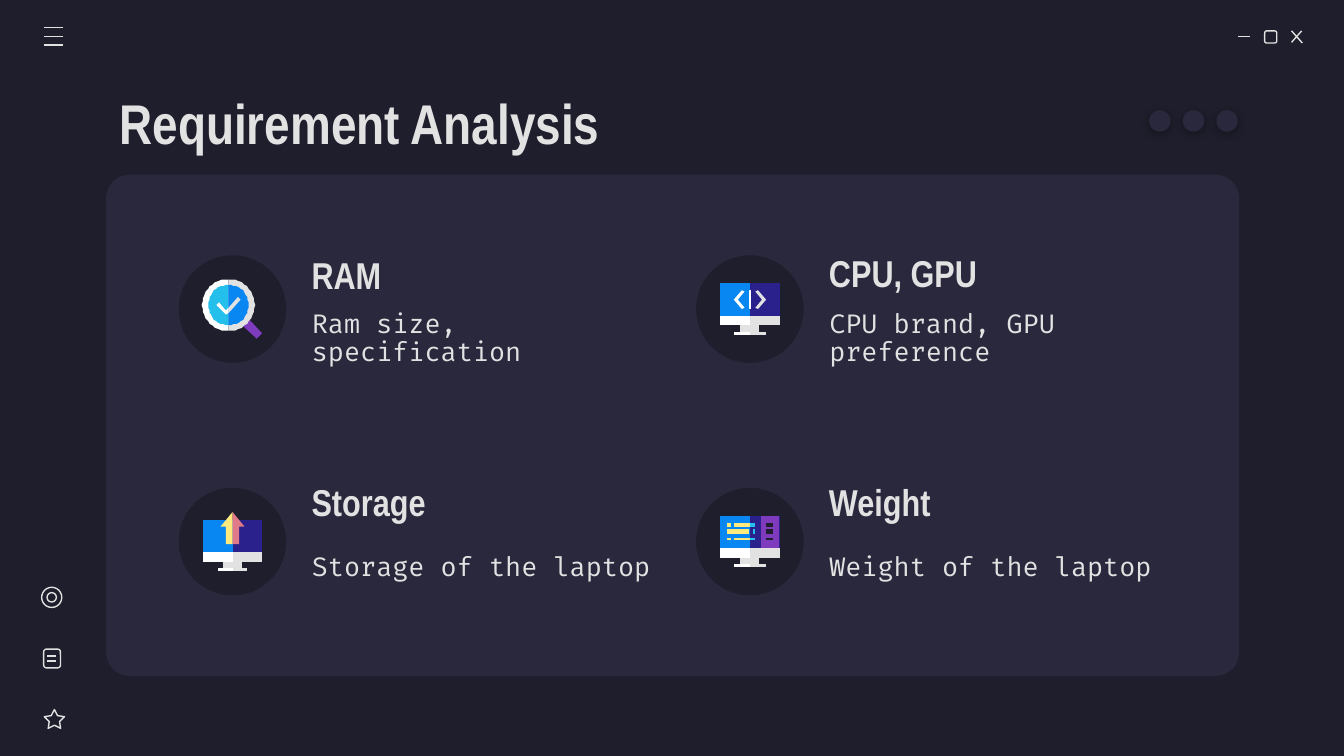
import math

import pptx
import pptx.dml.color
import pptx.enum.shapes
import pptx.enum.text
import pptx.oxml
import pptx.oxml.ns
import pptx.util

# Every length is a share of the slide's width, in thousandths.
UNIT = pptx.util.Inches(10) // 1000
WIDE, HIGH = 1000, 562.5
COLS, ROWS = (133, 518), (190, 363)
DISC = 80
COLOR = {
    "back": "1E1E2C", "panel": "29283D", "text": "E2E2E2", "white": "FFFFFF",
    "blue": "0887F2", "navy": "2B218D", "cyan": "24BFEB", "purple": "7E3BBE",
    "yellow": "FFEA7D", "pink": "E07A88",
}
HEAD, BODY = "Arial Narrow", "Fira Code"
FORM = pptx.enum.shapes.MSO_SHAPE
SHADOW = (
    '<a:effectLst xmlns:a="http://schemas.openxmlformats.org/drawingml/2006/main">'
    '<a:outerShdw blurRad="57150" dist="19050" dir="5400000" algn="bl" rotWithShape="0">'
    '<a:srgbClr val="000000"><a:alpha val="30000"/></a:srgbClr>'
    '</a:outerShdw></a:effectLst>'
)


def size(value):
    return round(value * UNIT)


def rgb(name):
    return pptx.dml.color.RGBColor.from_string(COLOR[name])


def paint(shape, fill):
    """Fill a shape, or leave it open with a thin outline if fill is None."""
    shape.shadow.inherit = False
    if fill:
        shape.fill.solid()
        shape.fill.fore_color.rgb = rgb(fill)
        shape.line.fill.background()
    else:
        shape.fill.background()
        shape.line.color.rgb = rgb("text")
        shape.line.width = pptx.util.Pt(0.75)


def add_form(slide, form, box, fill=None, bend=None):
    shape = slide.shapes.add_shape(form, *map(size, box))
    paint(shape, fill)
    if bend is not None:
        shape.adjustments[0] = bend
    return shape


def add_line(slide, *ends):
    line = slide.shapes.add_connector(
        pptx.enum.shapes.MSO_CONNECTOR.STRAIGHT, *map(size, ends))
    line.line.color.rgb = rgb("text")
    line.line.width = pptx.util.Pt(0.75)
    pptx.oxml.ns  # namespace helpers
    line._element.spPr.append(pptx.oxml.parse_xml(
        '<a:effectLst xmlns:a="http://schemas.openxmlformats.org/drawingml/2006/main"/>'))


def set_text(slide, shape, box, text, font, points, bold):
    """Place a text shape in front of the rest and format its one line."""
    slide.shapes._spTree.append(shape._element)
    shape.left, shape.top, shape.width, shape.height = map(size, box)
    frame = shape.text_frame
    frame.text = text
    frame.word_wrap = True
    frame.auto_size = pptx.enum.text.MSO_AUTO_SIZE.NONE
    frame.vertical_anchor = pptx.enum.text.MSO_ANCHOR.MIDDLE
    frame.margin_left = frame.margin_right = size(10)
    frame.margin_top = frame.margin_bottom = size(10)
    para = frame.paragraphs[0]
    para.alignment = pptx.enum.text.PP_ALIGN.LEFT
    para.space_before = pptx.util.Pt(0)
    para.line_spacing = 1 if bold else 0.9
    props = para._p.get_or_add_pPr()
    props.set("marL", "0")
    props.set("indent", "0")
    props.append(props.makeelement(pptx.oxml.ns.qn("a:buNone"), {}))
    style = para.runs[0].font
    style.name, style.size, style.bold = font, pptx.util.Pt(points), bold
    style.color.rgb = rgb("text")


def add_part(slide, mid, points, fill):
    """Draw a filled outline whose points are offsets from mid."""
    spots = [(mid[0] + x, mid[1] + y) for x, y in points]
    maker = slide.shapes.build_freeform(*spots[0], scale=UNIT)
    maker.add_line_segments(spots[1:], close=True)
    paint(maker.convert_to_shape(), fill)


def add_block(slide, mid, left, top, right, low, fill):
    add_part(slide, mid, [(left, top), (right, top), (right, low), (left, low)], fill)


def flip(points):
    return [(-x, y) for x, y in points]


def half(rad, side):
    """Half a disc: side is -1 for the left half and 1 for the right."""
    turns = [math.pi * step / 24 for step in range(25)]
    return [(side * rad * math.sin(turn), -rad * math.cos(turn)) for turn in turns]


def draw_screen(slide, mid):
    for edge, screen, chin in ((-22, "blue", "white"), (22, "navy", "text")):
        add_block(slide, mid, 0, -19, edge, 5, screen)
        add_block(slide, mid, 0, 5, edge, 12, chin)
    add_block(slide, mid, -7, 12, 7, 18, "text")
    add_block(slide, mid, -11.5, 17, 0, 19, "white")
    add_block(slide, mid, 0, 17, 11.5, 19, "text")


def draw_lens(slide, mid):
    add_part(slide, mid, [(10, 5), (5, 10), (18, 22), (22, 18)], "purple")
    hub = mid[0] - 3, mid[1] - 3
    for rad, left, right in ((19.5, "white", "text"), (15, "cyan", "blue")):
        add_part(slide, hub, half(rad, -1), left)
        add_part(slide, hub, half(rad, 1), right)
    add_part(slide, mid, [(4, -9), (-3, -1), (-3, 3), (6, -7)], "text")
    add_part(slide, mid, [(-10, -5), (-12, -3), (-5, 4), (-3, 3), (-3, -1), (-5, 1)], "white")


def draw_code(slide, mid):
    draw_screen(slide, mid)
    hook = [(-6, -14), (-12, -7), (-6, 0), (-4, -1), (-9, -7), (-4, -13)]
    add_part(slide, mid, hook, "white")
    add_part(slide, mid, flip(hook), "text")
    add_block(slide, mid, -1.3, -14, 1.3, 0, "white")


def draw_load(slide, mid):
    draw_screen(slide, (mid[0], mid[1] + 3))
    arrow = [(0, -22), (0, 2), (-4.5, 2), (-4.5, -11), (-9, -11)]
    add_part(slide, mid, arrow, "yellow")
    add_part(slide, mid, flip(arrow), "pink")


def draw_list(slide, mid):
    draw_screen(slide, mid)
    add_block(slide, mid, 8, -19, 22, 5, "purple")
    wide = [(-17, -14.5, "yellow"), (-12, 0, "yellow"), (0, 4, "cyan")]
    short = [(-17, -1, "yellow"), (1.5, 4, "cyan")]
    for row, bars in enumerate((wide, short, wide)):
        top = -14 + 5.5 * row
        for left, right, fill in bars + [(12, 17, "back")]:
            add_block(slide, mid, left, top, right, top + 2.5, fill)


def draw_frame(slide):
    """Panel, window buttons, menu, side icons and the three dots."""
    add_form(slide, FORM.ROUNDED_RECTANGLE, (79, 130, 843, 373), "panel", 0.047)
    add_line(slide, 921, 27, 930, 27)
    add_form(slide, FORM.ROUNDED_RECTANGLE, (941, 23, 9, 9))
    add_line(slide, 961, 23, 969, 32)
    add_line(slide, 968.5, 23, 961, 31.5)
    for row in range(3):
        add_line(slide, 33, 20.5 + 6.5 * row, 47, 20.5 + 6.5 * row)
    add_form(slide, FORM.STAR_5_POINT, (33, 528, 15, 14), bend=0.254)
    add_form(slide, FORM.ROUNDED_RECTANGLE, (32.5, 483, 12.5, 14))
    for top in (488, 492):
        add_line(slide, 35, top, 42, top)
    add_form(slide, FORM.OVAL, (31, 437, 15, 15))
    add_form(slide, FORM.OVAL, (35, 441, 7, 7))
    for step in range(3):
        dot = add_form(slide, FORM.OVAL, (855 + 25 * step, 82, 16, 16), "panel")
        props = dot._element.spPr
        props.remove(props.find(pptx.oxml.ns.qn("a:effectLst")))
        props.append(pptx.oxml.parse_xml(SHADOW))


def add_card(slide, holder, col, row, draw, lift, head, body):
    """Disc with icon, heading and text; lift is the heading's rise over the disc."""
    left, top = COLS[col], ROWS[row]
    add_form(slide, FORM.OVAL, (left, top, DISC, DISC), "back")
    draw(slide, (left + DISC / 2, top + DISC / 2))
    label = slide.shapes.add_textbox(0, 0, 0, 0)
    set_text(slide, label, (left + 89, top - lift, 273, 43), head, HEAD, 20, True)
    drop = 34 - 2 * row
    set_text(slide, holder, (left + 89, top + drop, 273, 56), body, BODY, 14, False)


def main():
    deck = pptx.Presentation()
    deck.slide_width, deck.slide_height = size(WIDE), size(HIGH)
    slide = deck.slides.add_slide(deck.slide_layouts.get_by_name("Comparison"))
    slide.background.fill.solid()
    slide.background.fill.fore_color.rgb = rgb("back")
    title, *holders = list(slide.placeholders)
    draw_frame(slide)
    set_text(slide, title, (79, 59, 843, 63), "Requirement Analysis", HEAD, 30, True)
    cards = [
        (0, 0, draw_lens, 7, "RAM", "Ram size, specification"),
        (1, 0, draw_code, 9, "CPU, GPU", "CPU brand, GPU preference"),
        (0, 1, draw_load, 11, "Storage", "Storage of the laptop"),
        (1, 1, draw_list, 11, "Weight", "Weight of the laptop"),
    ]
    for holder, card in zip(holders, cards):
        add_card(slide, holder, *card)
    deck.save("out.pptx")


if __name__ == "__main__":
    main()
